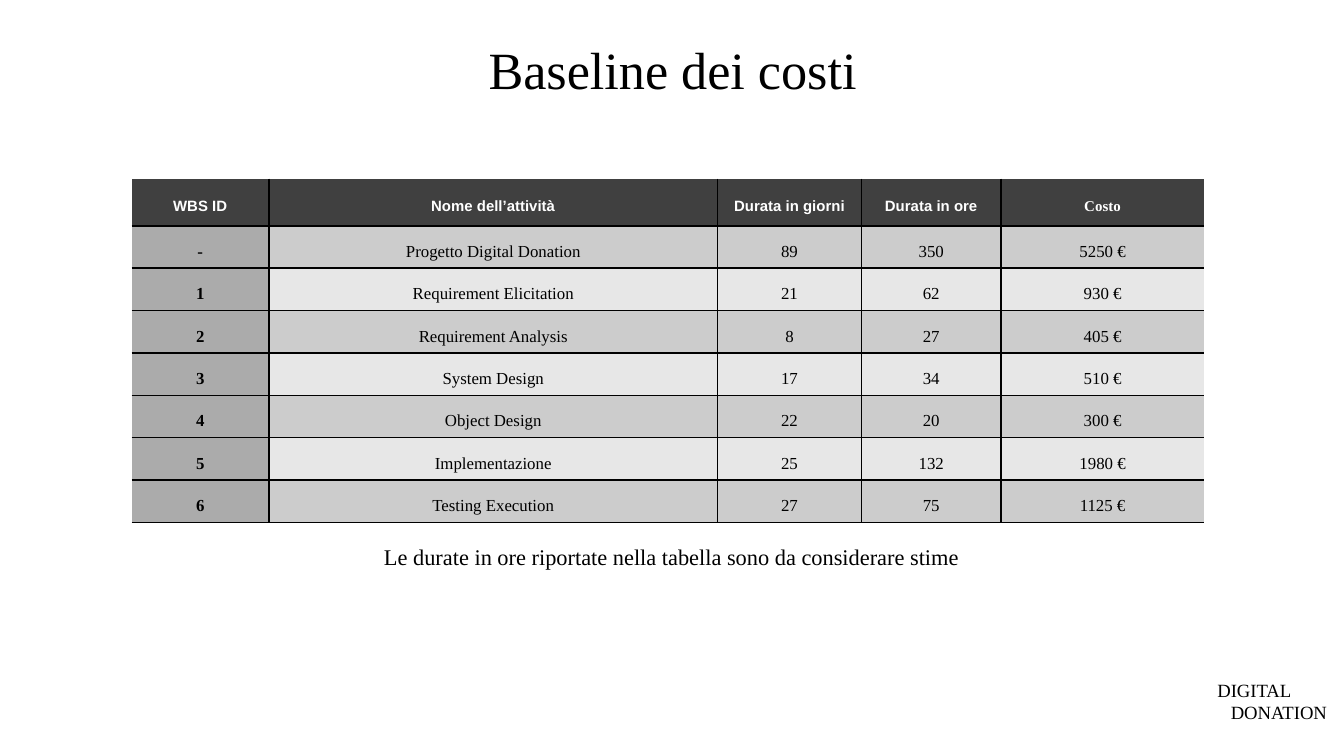
"""Build the cost baseline slide with its activity table."""
from dataclasses import dataclass

from lxml.etree import SubElement
from pptx import Presentation
from pptx.dml.color import RGBColor
from pptx.enum.text import MSO_ANCHOR as Anchor, MSO_AUTO_SIZE as AutoSize, PP_ALIGN as Align
from pptx.oxml.ns import qn
from pptx.util import Inches, Pt


@dataclass(frozen=True)
class Theme:
    serif: str = "Times New Roman"
    sans: str = "Arial"
    ink: str = "000000"
    white: str = "FFFFFF"
    header: str = "404040"
    id_fill: str = "ABABAB"
    bands: tuple = ("CCCCCC", "E7E7E7")
    title: int = 28
    note: int = 12
    brand: int = 10
    head: int = 8
    body: int = 9


@dataclass(frozen=True)
class Box:
    left: float
    top: float
    width: float
    height: float

    def lengths(self) -> tuple:
        return tuple(Inches(v) for v in (self.left, self.top, self.width, self.height))


@dataclass(frozen=True)
class Style:
    size: int
    font: str
    color: str
    bold: bool = False
    align: Align = Align.CENTER
    spacing: float = 1.0


@dataclass(frozen=True)
class Activity:
    wbs: str
    name: str
    days: int
    hours: int
    cost: int

    def texts(self) -> tuple:
        return self.wbs, self.name, str(self.days), str(self.hours), f"{self.cost} €"


T = Theme()
HEADERS = ("WBS ID", "Nome dell’attività", "Durata in giorni", "Durata in ore", "Costo")
COLUMNS = (1.02, 3.34, 1.07, 1.04, 1.51)
ACTIVITIES = (
    Activity("-", "Progetto Digital Donation", 89, 350, 5250),
    Activity("1", "Requirement Elicitation", 21, 62, 930),
    Activity("2", "Requirement Analysis", 8, 27, 405),
    Activity("3", "System Design", 17, 34, 510),
    Activity("4", "Object Design", 22, 20, 300),
    Activity("5", "Implementazione", 25, 132, 1980),
    Activity("6", "Testing Execution", 27, 75, 1125),
)
TABLE_HEIGHT, HEADER_HEIGHT = 2.56, 0.35
ROW_HEIGHT = (TABLE_HEIGHT - HEADER_HEIGHT) / len(ACTIVITIES)


def write(tf, text: str, style: Style) -> None:
    tf.text = text
    for p in tf.paragraphs:
        p.alignment = style.align
        p.line_spacing = style.spacing
        p.space_before = Pt(0)
        for r in p.runs:
            r.font.size = Pt(style.size)
            r.font.name = style.font
            r.font.bold = style.bold
            r.font.color.rgb = RGBColor.from_string(style.color)


def place(sp, box: Box, text: str, style: Style):
    sp.left, sp.top, sp.width, sp.height = box.lengths()
    tf = sp.text_frame
    tf.word_wrap = True
    tf.auto_size = AutoSize.NONE
    tf.vertical_anchor = Anchor.TOP
    write(tf, text, style)
    return tf


def add_text(s, box: Box, text: str, style: Style):
    return place(s.shapes.add_textbox(*box.lengths()), box, text, style)


def set_borders(cell, sides: dict) -> None:
    tc_pr = cell._tc.get_or_add_tcPr()
    for side, visible in sides.items():
        ln = SubElement(tc_pr, qn(f"a:ln{side}"), w=str(Pt(1)))
        if visible:
            fill = SubElement(ln, qn("a:solidFill"))
            SubElement(fill, qn("a:srgbClr"), val=T.ink)
        else:
            SubElement(ln, qn("a:noFill"))


def cell_look(row: int, col: int) -> tuple:
    if row == 0:
        font = T.serif if col == len(COLUMNS) - 1 else T.sans
        return T.header, Style(T.head, font, T.white, True, spacing=1.5)
    fill = T.id_fill if col == 0 else T.bands[(row - 1) % 2]
    return fill, Style(T.body, T.serif, T.ink, col == 0, spacing=1.5)


def add_cost_table(s, left: float, top: float) -> None:
    rows = [HEADERS, *(a.texts() for a in ACTIVITIES)]
    heights = [HEADER_HEIGHT] + [ROW_HEIGHT] * len(ACTIVITIES)
    box = Box(left, top, sum(COLUMNS), TABLE_HEIGHT)
    table = s.shapes.add_table(len(rows), len(COLUMNS), *box.lengths()).table
    for column, width in zip(table.columns, COLUMNS):
        column.width = Inches(width)
    for i, (texts, height) in enumerate(zip(rows, heights)):
        table.rows[i].height = Inches(height)
        for j, text in enumerate(texts):
            cell = table.cell(i, j)
            fill, style = cell_look(i, j)
            cell.margin_left = cell.margin_right = Inches(0.05)
            cell.margin_top = cell.margin_bottom = 0
            cell.vertical_anchor = Anchor.MIDDLE
            set_borders(cell, {"L": j > 0, "R": j < len(COLUMNS) - 1, "T": i > 0, "B": True})
            cell.fill.solid()
            cell.fill.fore_color.rgb = RGBColor.from_string(fill)
            write(cell.text_frame, text, style)


def main() -> None:
    prs = Presentation()
    prs.slide_width = Inches(10)
    prs.slide_height = prs.slide_width * 9 // 16
    s = prs.slides.add_slide(prs.slide_layouts[5])
    brand = add_text(s, Box(8.96, 5, 1.04, 0.44), "DIGITAL\nDONATION",
                     Style(T.brand, T.serif, T.ink, align=Align.LEFT))
    brand.paragraphs[1]._p.get_or_add_pPr().set("marL", str(Inches(0.1)))
    place(s.shapes.title, Box(2.53, 0.23, 4.95, 0.57), "Baseline dei costi",
          Style(T.title, T.serif, T.ink))
    add_cost_table(s, 0.98, 1.33)
    add_text(s, Box(1.48, 3.98, 7.04, 0.31),
             "Le durate in ore riportate nella tabella sono da considerare stime",
             Style(T.note, T.serif, T.ink, spacing=1.07))
    prs.save("out.pptx")


if __name__ == "__main__":
    main()
